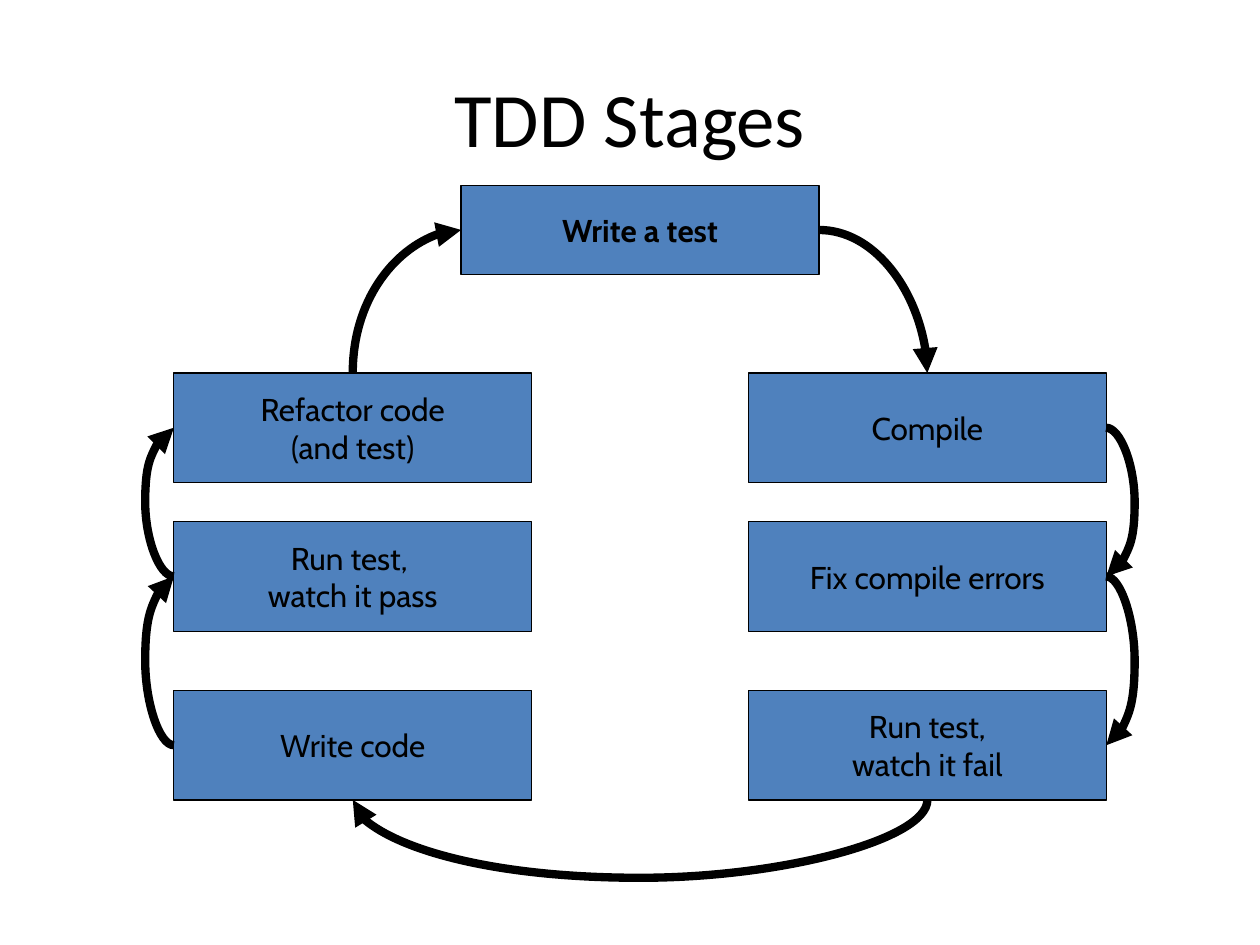
from lxml.etree import SubElement
from pptx import Presentation
from pptx.dml.color import RGBColor
from pptx.enum.shapes import MSO_CONNECTOR, MSO_SHAPE
from pptx.enum.text import MSO_ANCHOR, PP_ALIGN
from pptx.oxml.ns import qn
from pptx.util import Emu, Inches, Pt

BLUE = RGBColor(0x4F, 0x81, 0xBD)
BLACK = RGBColor(0, 0, 0)

TOP, LEFT, BOTTOM, RIGHT = range(4)
COLUMNS = [1.38 + 2.28 * column for column in range(3)]
ROWS = [(1.47, 0.71), (2.96, 0.87), (4.14, 0.87), (5.48, 0.87)]
STAGE_WIDTH = 2.84
SLIM = 1588  # thickness in EMU of the frame of an arrow between aligned sides

# Text, column and row, in the order of the cycle
STAGES = [
    ("Write a test", 1, 0),
    ("Compile", 2, 1),
    ("Fix compile errors", 2, 2),
    ("Run test,\vwatch it fail", 2, 3),
    ("Write code", 0, 3),
    ("Run test, \vwatch it pass", 0, 2),
    ("Refactor code\v(and test)", 0, 1),
]
# Side left, side reached and bulge in inches, from each stage to the next
ARROWS = [
    (RIGHT, TOP, 0),
    (RIGHT, RIGHT, 0.25),
    (RIGHT, RIGHT, 0.25),
    (BOTTOM, BOTTOM, -0.68),
    (LEFT, LEFT, -0.25),
    (LEFT, LEFT, -0.25),
    (TOP, LEFT, 0),
]


def add_title(slide, text):
    title = slide.shapes.title
    title.left, title.top = Inches(0.5), Inches(0.3)
    title.width, title.height = Inches(9), Inches(1.25)
    title.text_frame.text = text
    title.text_frame.vertical_anchor = MSO_ANCHOR.MIDDLE
    paragraph = title.text_frame.paragraphs[0]
    paragraph.alignment = PP_ALIGN.CENTER
    font = paragraph.runs[0].font
    font.name, font.size = "Calibri", Pt(44)
    font.color.rgb = BLACK


def add_stage(slide, text, column, row):
    top, height = ROWS[row]
    shape = slide.shapes.add_shape(
        MSO_SHAPE.RECTANGLE, Inches(COLUMNS[column]), Inches(top),
        Inches(STAGE_WIDTH), Inches(height))
    shape.shadow.inherit = False
    shape.fill.solid()
    shape.fill.fore_color.rgb = BLUE
    shape.line.color.rgb = BLACK
    shape.line.width = Pt(0.75)
    frame = shape.text_frame
    frame.text = text
    frame.word_wrap = False
    frame.vertical_anchor = MSO_ANCHOR.MIDDLE
    paragraph = frame.paragraphs[0]
    paragraph.alignment = PP_ALIGN.CENTER
    for run in paragraph.runs:
        run.font.name, run.font.size = "Cabin", Pt(18)
        run.font.bold = row == 0
        run.font.color.rgb = BLACK
    return shape


def side_middle(shape, side):
    across, down = {TOP: (0.5, 0), LEFT: (0, 0.5),
                    BOTTOM: (0.5, 1), RIGHT: (1, 0.5)}[side]
    return (shape.left + int(shape.width * across),
            shape.top + int(shape.height * down))


def place_curve(connector, start, end, upward, bulge):
    """Frame a curve that leaves start sideways, or upward by a quarter turn."""
    width, height = abs(end[0] - start[0]), abs(end[1] - start[1])
    flipped = end[1] < start[1]
    if upward:
        width, height = height, width
        flipped = end[0] < start[0]
    width = SLIM if bulge else width
    connector.width, connector.height = Emu(width), Emu(height)
    connector.left = Emu((start[0] + end[0] - width) // 2)
    connector.top = Emu((start[1] + end[1] - height) // 2)

    properties = connector._element.spPr
    transform = properties.find(qn("a:xfrm"))
    transform.attrib.clear()
    if upward:
        transform.set("rot", str(270 * 60000))
    if flipped:
        transform.set("flipV", "1")
    geometry = properties.find(qn("a:prstGeom"))
    geometry.set("prst", "curvedConnector3" if bulge else "curvedConnector2")
    if bulge:
        share = round(Inches(bulge) / SLIM * 100000)
        SubElement(geometry.find(qn("a:avLst")), qn("a:gd"),
                   name="adj1", fmla=f"val {share}")


def add_arrow(slide, origin, origin_side, target, target_side, bulge):
    connector = slide.shapes.add_connector(MSO_CONNECTOR.CURVE, 0, 0, 0, 0)
    connector.begin_connect(origin, origin_side)
    connector.end_connect(target, target_side)
    place_curve(connector, side_middle(origin, origin_side),
                side_middle(target, target_side),
                origin_side in (TOP, BOTTOM), bulge)
    connector.line.color.rgb = BLACK
    connector.line.width = Pt(4.75)
    SubElement(connector.line._get_or_add_ln(), qn("a:tailEnd"), type="triangle")
    SubElement(connector._element.spPr, qn("a:effectLst"))


def add_cycle(slide):
    stages = [add_stage(slide, *stage) for stage in STAGES]
    following = stages[1:] + stages[:1]
    for origin, target, (leave, reach, bulge) in zip(stages, following, ARROWS):
        add_arrow(slide, origin, leave, target, reach, bulge)


def main():
    presentation = Presentation()
    presentation.slide_width, presentation.slide_height = Inches(10), Inches(7.5)
    slide = presentation.slides.add_slide(presentation.slide_layouts[5])
    add_title(slide, "TDD Stages")
    add_cycle(slide)
    presentation.save("out.pptx")


if __name__ == "__main__":
    main()
